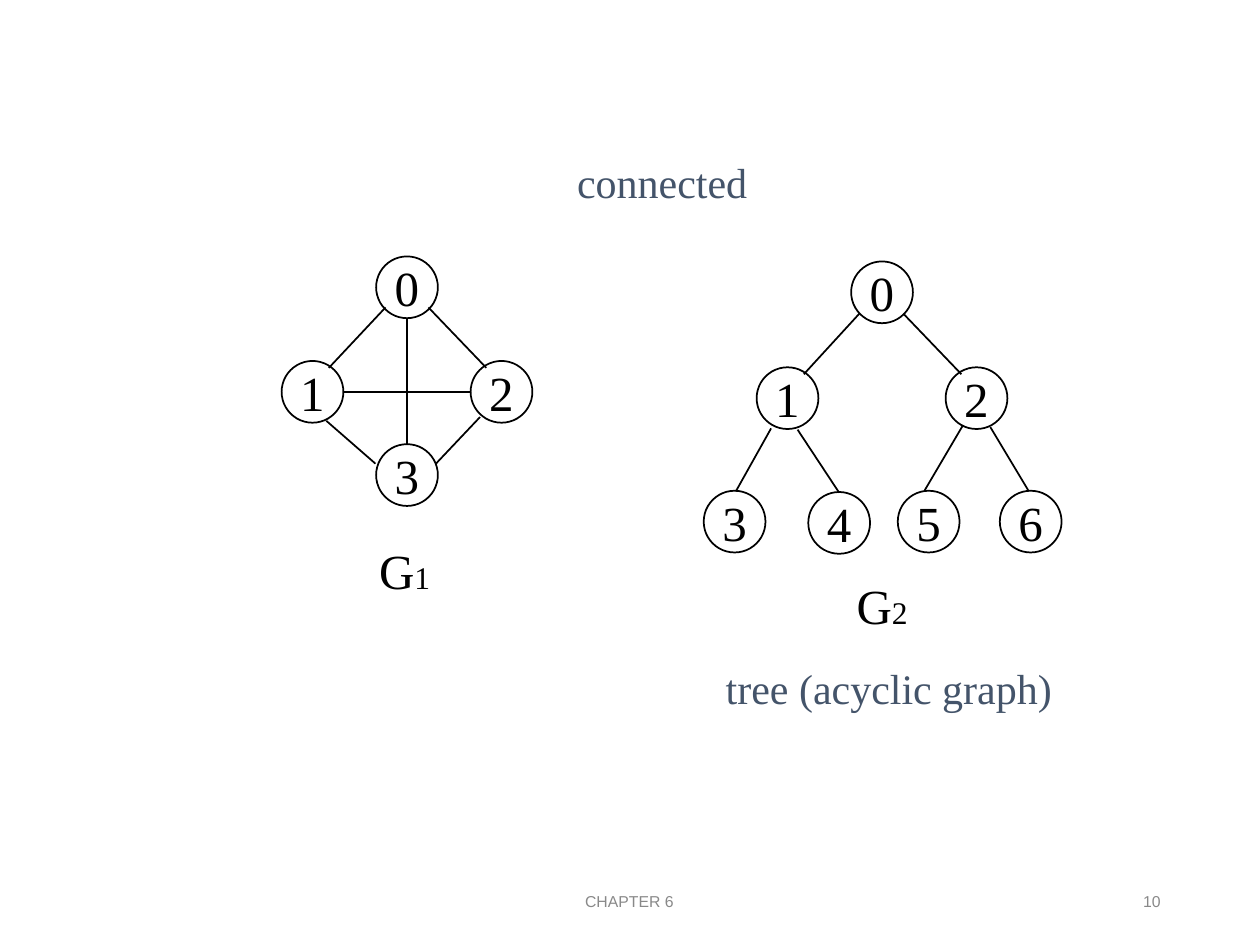
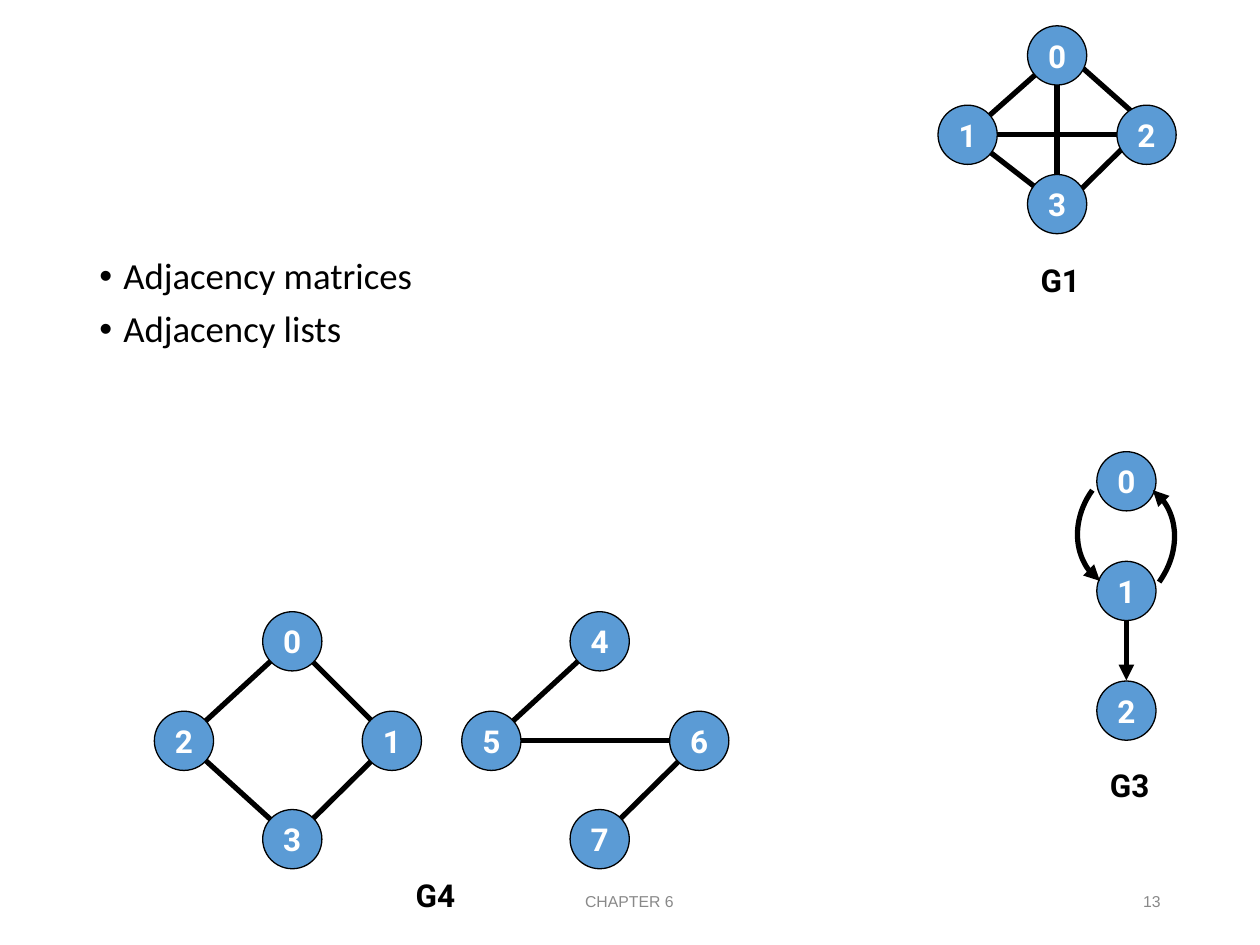
from dataclasses import dataclass
from lxml.etree import SubElement
from pptx import Presentation
from pptx.dml.color import RGBColor
from pptx.enum.shapes import MSO_CONNECTOR, MSO_SHAPE
from pptx.enum.text import MSO_ANCHOR, PP_ALIGN
from pptx.oxml.ns import qn
from pptx.util import Inches, Pt

BLACK, WHITE, GREY, SLATE, BLUE = "000000", "FFFFFF", "898989", "44546A", "5B9BD5"
SERIF, SANS, FOOTER_FONT, BODY_FONT = "Times New Roman", "Roboto", "Arial", "Calibri"


def color(value):
    return RGBColor.from_string(value)


@dataclass
class GraphStyle:
    font: str
    size: int
    bold: bool
    text: str
    fill: str
    outline: float
    diameter: float
    edge: float


OUTLINED = GraphStyle(SERIF, 28, False, BLACK, WHITE, 1, 0.49, 1)
SOLID = GraphStyle(SANS, 18, True, WHITE, BLUE, 0.75, 0.47, 3)


class SlideBuilder:
    def __init__(self, presentation, style, number):
        self.style = style
        self.slide = presentation.slides.add_slide(presentation.slide_layouts[6])
        self.footer(number)

    def format_run(self, run, font, size, value, bold=False):
        run.font.name = font
        run.font.size = Pt(size)
        run.font.bold = bold
        run.font.color.rgb = color(value)

    def text(self, box, content, font, size, value, align=PP_ALIGN.LEFT,
             anchor=MSO_ANCHOR.TOP, wrap=False, bold=False):
        shape = self.slide.shapes.add_textbox(*map(Inches, box))
        frame = shape.text_frame
        frame.word_wrap = wrap
        frame.vertical_anchor = anchor
        frame.text = content
        for paragraph in frame.paragraphs:
            paragraph.alignment = align
            for run in paragraph.runs:
                self.format_run(run, font, size, value, bold)
        return frame

    def footer(self, number):
        for left, width, content, align in (
            (3.31, 3.37, "CHAPTER 6", PP_ALIGN.CENTER),
            (7.06, 2.25, number, PP_ALIGN.RIGHT),
        ):
            self.text((left, 6.95, width, 0.4), content, FOOTER_FONT, 9, GREY,
                      align, MSO_ANCHOR.MIDDLE, wrap=True)

    def caption(self, box, content):
        self.text(box, content, SERIF, 24, SLATE, PP_ALIGN.CENTER, MSO_ANCHOR.MIDDLE)

    def graph_name(self, left, top, content):
        style = self.style
        self.text((left, top, 0.52, 0.4), content, style.font, style.size, BLACK,
                  bold=style.bold)

    def subscript_name(self, left, top, letter, index):
        style = self.style
        frame = self.text((left, top, 0.61, 0.57), letter, style.font, style.size, BLACK)
        run = frame.paragraphs[0].add_run()
        run.text = index
        self.format_run(run, style.font, 18, BLACK)

    def bullets(self, box, items):
        frame = self.text(box, "\n".join(items), BODY_FONT, 21, BLACK, wrap=True)
        for paragraph in frame.paragraphs:
            paragraph.line_spacing = 0.9
            paragraph.space_before = Pt(7.5)
            properties = paragraph._p.get_or_add_pPr()
            properties.set("marL", str(Inches(0.19)))
            properties.set("indent", str(-Inches(0.19)))
            SubElement(properties, qn("a:buFont")).set("typeface", "Arial")
            SubElement(properties, qn("a:buChar")).set("char", "•")

    def nodes(self, centers):
        style = self.style
        for label, (x, y) in centers.items():
            left, top = x - style.diameter / 2, y - style.diameter / 2
            box = map(Inches, (left, top, style.diameter, style.diameter))
            shape = self.slide.shapes.add_shape(MSO_SHAPE.OVAL, *box)
            shape.shadow.inherit = False
            shape.fill.solid()
            shape.fill.fore_color.rgb = color(style.fill)
            shape.line.color.rgb = color(BLACK)
            shape.line.width = Pt(style.outline)
            frame = shape.text_frame
            frame.word_wrap = False
            frame.vertical_anchor = MSO_ANCHOR.MIDDLE
            frame.text = str(label)
            paragraph = frame.paragraphs[0]
            paragraph.alignment = PP_ALIGN.CENTER
            self.format_run(paragraph.runs[0], style.font, style.size, style.text, style.bold)

    def stroke(self, shape, arrow):
        shape.line.color.rgb = color(BLACK)
        shape.line.width = Pt(self.style.edge)
        if arrow:
            outline = shape.element.spPr.find(qn("a:ln"))
            SubElement(outline, qn("a:tailEnd")).set("type", "triangle")

    def edge(self, start, end, arrow=False):
        connector = self.slide.shapes.add_connector(
            MSO_CONNECTOR.STRAIGHT, *map(Inches, (*start, *end)))
        self.stroke(connector, arrow)
        SubElement(connector.element.spPr, qn("a:effectLst"))

    def edges(self, centers, pairs):
        for first, second in pairs:
            self.edge(centers[first], centers[second])

    def curved_edge(self, *controls, steps=24):
        points = []
        for step in range(steps + 1):
            t = step / steps
            weights = ((1 - t) ** 3, 3 * t * (1 - t) ** 2, 3 * t * t * (1 - t), t ** 3)
            points.append(tuple(
                Inches(sum(weight * control[axis] for weight, control in zip(weights, controls)))
                for axis in (0, 1)))
        builder = self.slide.shapes.build_freeform(*points[0])
        builder.add_line_segments(points[1:], close=False)
        shape = builder.convert_to_shape()
        shape.shadow.inherit = False
        shape.fill.background()
        self.stroke(shape, True)


def build_connected(presentation):
    page = SlideBuilder(presentation, OUTLINED, "10")
    page.nodes({0: (3.23, 2.28), 1: (2.48, 3.11), 2: (3.98, 3.11), 3: (3.23, 3.77)})
    page.nodes({0: (7, 2.32), 1: (6.25, 3.16), 2: (7.75, 3.16), 3: (5.83, 4.14),
                4: (6.66, 4.15), 5: (7.37, 4.14), 6: (8.18, 4.14)})
    complete_edges = (
        ((3.23, 2.53), (3.23, 3.53)), ((2.73, 3.11), (3.73, 3.11)),
        ((3.06, 2.44), (2.61, 2.92)), ((3.4, 2.44), (3.86, 2.92)),
        ((2.59, 3.34), (2.98, 3.68)), ((3.81, 3.31), (3.46, 3.68)),
    )
    tree_edges = (
        ((6.82, 2.49), (6.38, 2.97)), ((7.17, 2.49), (7.63, 2.97)),
        ((6.12, 3.4), (5.84, 3.9)), ((6.33, 3.41), (6.66, 3.91)),
        ((7.64, 3.38), (7.34, 3.89)), ((7.86, 3.39), (8.16, 3.89)),
    )
    for start, end in complete_edges + tree_edges:
        page.edge(start, end)
    page.subscript_name(2.91, 4.24, "G", "1")
    page.subscript_name(6.7, 4.52, "G", "2")
    page.caption((4.48, 1.19, 1.55, 0.5), "connected")
    page.caption((5.66, 5.21, 2.79, 0.5), "tree (acyclic graph)")


def build_representations(presentation):
    page = SlideBuilder(presentation, SOLID, "13")
    page.bullets((0.69, 2, 8.63, 4.76), ("Adjacency matrices", "Adjacency lists"))

    complete = {0: (8.39, 0.44), 1: (7.68, 1.07), 2: (9.1, 1.07), 3: (8.39, 1.62)}
    page.edges(complete, ((0, 3), (1, 2), (0, 1), (1, 3)))
    page.edge((8.39, 0.36), (9.1, 0.99))
    page.edge((9.1, 0.99), (8.46, 1.62))
    page.nodes(complete)
    page.graph_name(8.16, 2.02, "G1")

    page.nodes({2: (8.94, 5.64), 1: (8.94, 4.69), 0: (8.94, 3.82)})
    page.edge((8.94, 4.92), (8.94, 5.4), arrow=True)
    page.curved_edge((9.2, 4.62), (9.38, 4.37), (9.36, 4.05), (9.15, 3.89))
    page.curved_edge((8.67, 3.89), (8.49, 4.14), (8.52, 4.46), (8.73, 4.61))
    page.graph_name(8.71, 6.03, "G3")

    diamond = {0: (2.32, 5.09), 1: (3.11, 5.88), 2: (1.46, 5.88), 3: (2.32, 6.66)}
    chain = {label: (diamond[twin][0] + 2.44, diamond[twin][1])
             for label, twin in ((4, 0), (6, 1), (5, 2), (7, 3))}
    page.edges(diamond, ((0, 2), (2, 3), (0, 1), (1, 3)))
    page.nodes(diamond)
    page.edges(chain, ((4, 5), (5, 6), (6, 7)))
    page.nodes(chain)
    page.graph_name(3.2, 6.9, "G4")


def main():
    presentation = Presentation()
    presentation.slide_width = Inches(10)
    presentation.slide_height = Inches(7.5)
    build_connected(presentation)
    build_representations(presentation)
    presentation.save("out.pptx")


if __name__ == "__main__":
    main()
